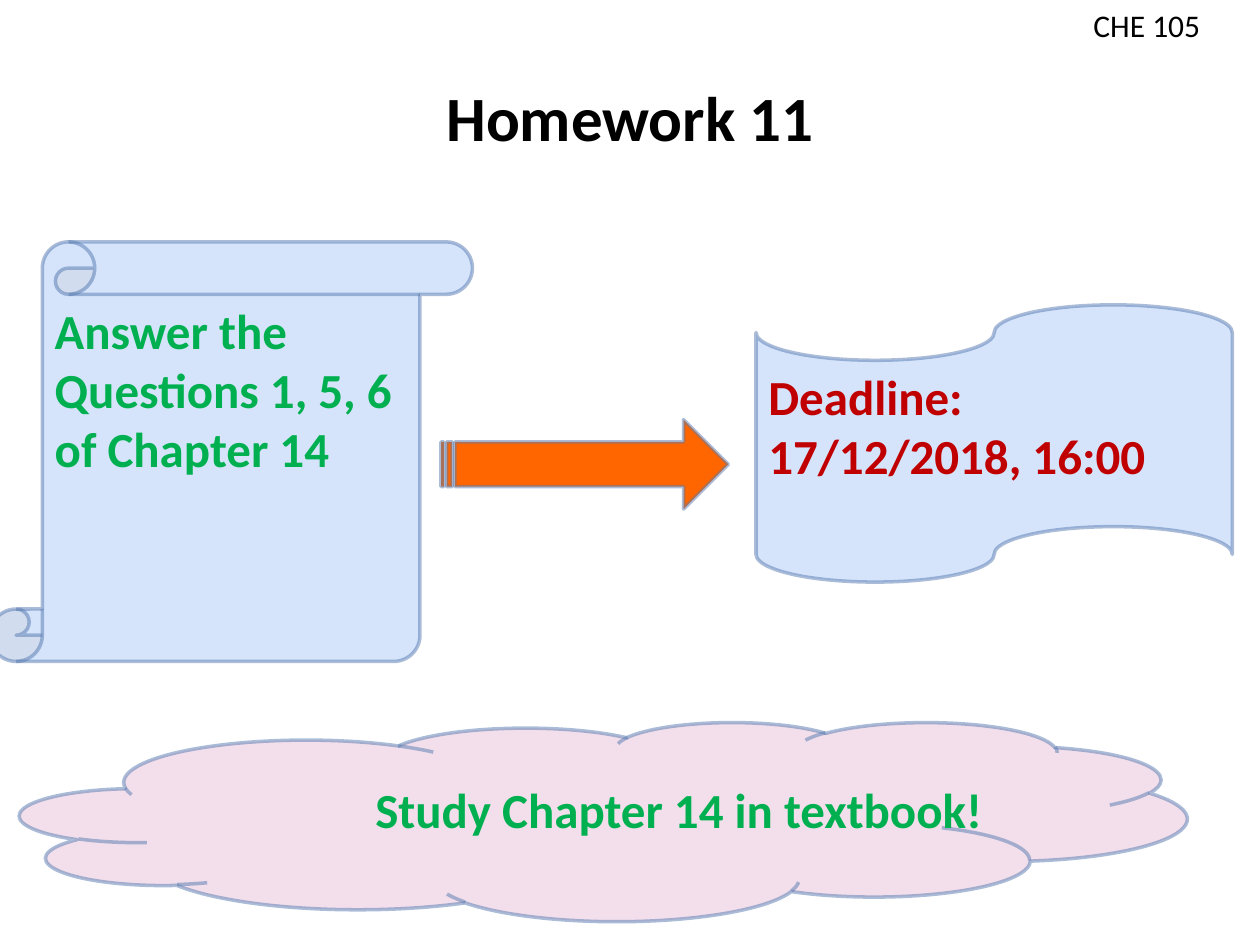
"""Build the Homework 11 slide for CHE 105."""
from dataclasses import dataclass
from typing import Optional

from lxml import etree
from pptx import Presentation, util as u
from pptx.dml.color import RGBColor
from pptx.enum import shapes, text
from pptx.oxml import ns

COLORS = {
    "black": "000000", "green": "00B050", "red": "C00000", "blue": "5A94F1",
    "orange": "FF6600", "pink": "CC80B3", "outline": "577AB1",
}
FONT = "Calibri"


@dataclass
class Figure:
    """A preset shape with an optional message."""
    kind: shapes.MSO_SHAPE
    left: float
    top: float
    width: float
    height: float
    fill: str
    opacity: int = 25
    message: str = ""
    ink: str = "green"


@dataclass
class Label:
    """A free-standing line of text."""
    message: str
    left: float
    top: float
    width: float
    height: float
    size: int
    ink: str
    bold: Optional[bool] = None
    wrap: bool = True


FIGURES = [
    Figure(shapes.MSO_SHAPE.VERTICAL_SCROLL, -0.08, 1.92, 3.83, 3.33, "blue",
           message="Answer the Questions 1, 5, 6 of Chapter 14"),
    Figure(shapes.MSO_SHAPE.STRIPED_RIGHT_ARROW, 3.5, 3.33, 2.28, 0.71, "orange", 100),
    Figure(shapes.MSO_SHAPE.FLOWCHART_PUNCHED_TAPE, 6, 2.42, 3.78, 2.2, "blue",
           message="Deadline: 17/12/2018, 16:00", ink="red"),
    Figure(shapes.MSO_SHAPE.CLOUD, 0.16, 5.73, 9.26, 1.58, "pink"),
]
LABELS = [
    Label("CHE 105", 8.58, 0, 1.17, 0.4, 18, "black"),
    Label("Study Chapter 14 in textbook!", 2.88, 6.14, 5.08, 0.57, 28, "green", True, False),
]


def write(frame, message: str, size: int, ink: str, bold: Optional[bool],
          align: text.PP_ALIGN = text.PP_ALIGN.LEFT) -> None:
    """Fill a text frame with one formatted paragraph."""
    frame.text = message
    para = frame.paragraphs[0]
    para.alignment = align
    para.font.name = FONT
    para.font.size = u.Pt(size)
    para.font.bold = bold
    para.font.color.rgb = RGBColor.from_string(COLORS[ink])


def set_opacity(shape, percents: tuple[int, int]) -> None:
    """Set the opacity of a shape's fill and outline."""
    for color, percent in zip(shape._element.spPr.iter(ns.qn("a:srgbClr")), percents):
        if percent < 100:
            etree.SubElement(color, ns.qn("a:alpha"), val=str(percent * 1000))


def draw_figure(page, figure: Figure) -> None:
    """Draw a preset shape and its message."""
    shape = page.shapes.add_shape(figure.kind, *map(
        u.Inches, (figure.left, figure.top, figure.width, figure.height)))
    shape.shadow.inherit = False
    shape.fill.solid()
    shape.fill.fore_color.rgb = RGBColor.from_string(COLORS[figure.fill])
    shape.line.color.rgb = RGBColor.from_string(COLORS["outline"])
    shape.line.width = u.Pt(2)
    set_opacity(shape, (figure.opacity, 50))
    if figure.message:
        shape.text_frame.vertical_anchor = text.MSO_ANCHOR.TOP
        write(shape.text_frame, figure.message, 28, figure.ink, True)


def draw_label(page, label: Label) -> None:
    """Draw a text box."""
    box = page.shapes.add_textbox(*map(
        u.Inches, (label.left, label.top, label.width, label.height)))
    box.text_frame.word_wrap = label.wrap
    box.text_frame.auto_size = text.MSO_AUTO_SIZE.SHAPE_TO_FIT_TEXT
    write(box.text_frame, label.message, label.size, label.ink, label.bold)


def main() -> None:
    """Build and save the deck."""
    deck = Presentation()
    deck.slide_width, deck.slide_height = u.Inches(10), u.Inches(7.5)
    page = deck.slides.add_slide(deck.slide_layouts[5])
    title = page.shapes.title
    title.left, title.top, title.width, title.height = map(u.Inches, (0.5, 0.3, 9, 1.25))
    title.text_frame.vertical_anchor = text.MSO_ANCHOR.MIDDLE
    write(title.text_frame, "Homework 11", 36, "black", True, text.PP_ALIGN.CENTER)
    for figure in FIGURES:
        draw_figure(page, figure)
    for label in LABELS:
        draw_label(page, label)
    deck.save("out.pptx")


if __name__ == "__main__":
    main()
